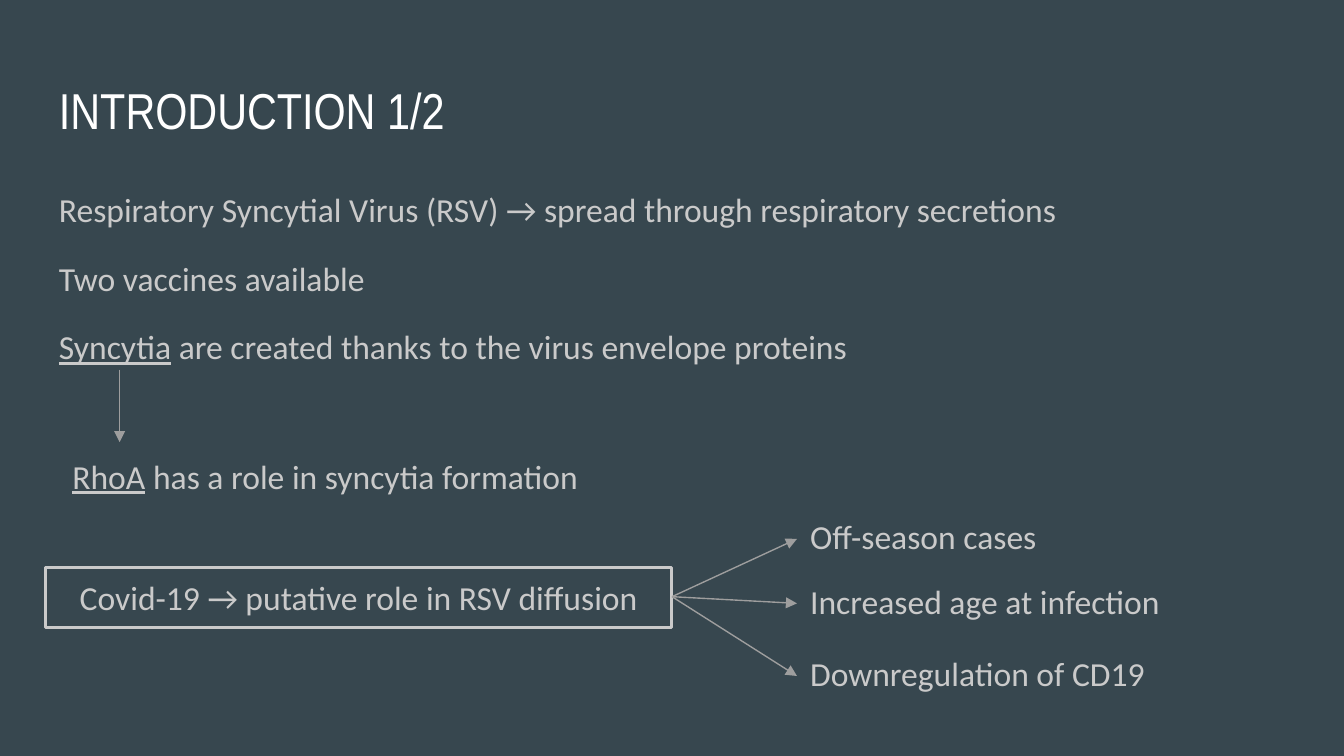
from lxml import etree
from pptx import Presentation
from pptx import util as u
from pptx.dml.color import RGBColor
from pptx.enum import shapes, text
from pptx.oxml.ns import qn

WIDTH = 10
HEIGHT = WIDTH * 9 / 16
MARGIN = 0.34
INSET = u.Inches(0.1)
COLORS = {"back": "37474F", "title": "FFFFFF", "body": "CACACA", "arrow": "9E9E9E"}


def color(name):
    return RGBColor.from_string(COLORS[name])


def inches(*sizes):
    return [u.Inches(size) for size in sizes]


def write(shape, lines, size=18, font="Calibri", ink="body", align=None,
          anchor=text.MSO_ANCHOR.TOP, spacing=None, gap=0, after=0):
    """Fill a shape with lines, each a list of (words, underlined) runs."""
    frame = shape.text_frame
    frame.word_wrap = True
    frame.vertical_anchor = anchor
    frame.margin_left = frame.margin_right = INSET
    frame.margin_top = frame.margin_bottom = INSET
    for row, runs in enumerate(lines):
        para = frame.paragraphs[0] if row == 0 else frame.add_paragraph()
        para.alignment = align
        para.line_spacing = spacing
        if row:
            para.space_before = u.Pt(gap)
        for words, underlined in runs:
            run = para.add_run()
            run.text = words
            run.font.size = u.Pt(size)
            run.font.name = font
            run.font.color.rgb = color(ink)
            run.font.underline = underlined
    para.space_after = u.Pt(after)


def label(slide, box, lines, **style):
    write(slide.shapes.add_textbox(*inches(*box)), lines, **style)


def arrow(slide, start, end):
    line = slide.shapes.add_connector(
        shapes.MSO_CONNECTOR.STRAIGHT, *inches(*start, *end))
    line.line.color.rgb = color("arrow")
    line.line.width = u.Pt(0.75)
    tail = etree.SubElement(line.get_or_add_ln(), qn("a:tailEnd"))
    tail.set("type", "triangle")
    etree.SubElement(line.element.spPr, qn("a:effectLst"))


def facts(slide, box):
    label(slide, box, [
        [("Respiratory Syncytial Virus (RSV) → spread through respiratory secretions", False)],
        [("Two vaccines available", False)],
        [("Syncytia", True), (" are created thanks to the virus envelope proteins", False)],
    ], spacing=1.15, gap=12, after=12)


def role(slide, box):
    """Place the RhoA line below the arrow that leads to it."""
    left, top, wide, high = box
    drop = 0.54
    middle = left + 0.45
    arrow(slide, (middle, top), (middle, top + drop))
    label(slide, (left, top + drop, wide, high - drop),
          [[("RhoA", True), (" has a role in syncytia formation", False)]])


def covid(slide, box):
    """Place the framed cause at the left and fan arrows out to its effects."""
    left, top, wide, high = box
    column = left + 0.65 * wide
    cause = column - left - 0.93
    start = (left + cause, top + 0.7)
    frame = slide.shapes.add_shape(
        shapes.MSO_SHAPE.RECTANGLE, *inches(left, top + 0.48, cause, 0.45))
    frame.shadow.inherit = False
    frame.fill.background()
    frame.line.color.rgb = color("body")
    frame.line.width = u.Pt(1.5)
    write(frame, [[("Covid-19 → putative role in RSV diffusion", False)]],
          align=text.PP_ALIGN.CENTER, anchor=text.MSO_ANCHOR.MIDDLE)
    effects = [("Off-season cases", 0, 1.98),
               ("Increased age at infection", 0.48, 3.03),
               ("Downregulation of CD19", 1.02, 3.03)]
    for words, drop, span in effects:
        arrow(slide, start, (column, top + drop + 0.27))
        label(slide, (column, top + drop, span, high - 1.02), [[(words, False)]])


def main():
    deck = Presentation()
    deck.slide_width, deck.slide_height = inches(WIDTH, HEIGHT)
    slide = deck.slides.add_slide(deck.slide_layouts[6])
    slide.background.fill.solid()
    slide.background.fill.fore_color.rgb = color("back")
    full = WIDTH - 2 * MARGIN
    label(slide, (MARGIN, 0.49, full, 0.63), [[("INTRODUCTION 1/2", False)]],
          size=27, font="Arial Narrow", ink="title")
    facts(slide, (MARGIN, 1.26, full, 1.55))
    role(slide, (MARGIN + 0.1, 2.75, 4.19, 0.99))
    covid(slide, (MARGIN, 3.74, 8.6, 1.55))
    deck.save("out.pptx")


if __name__ == "__main__":
    main()
